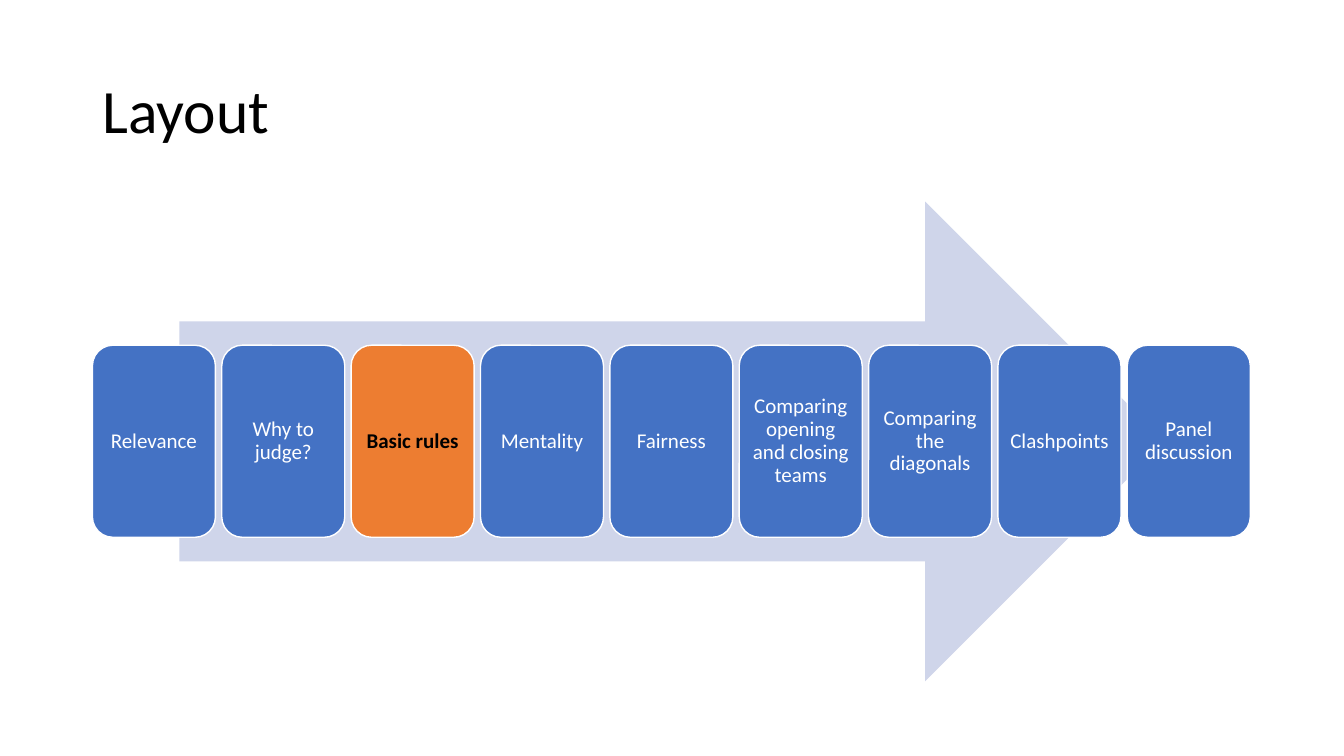
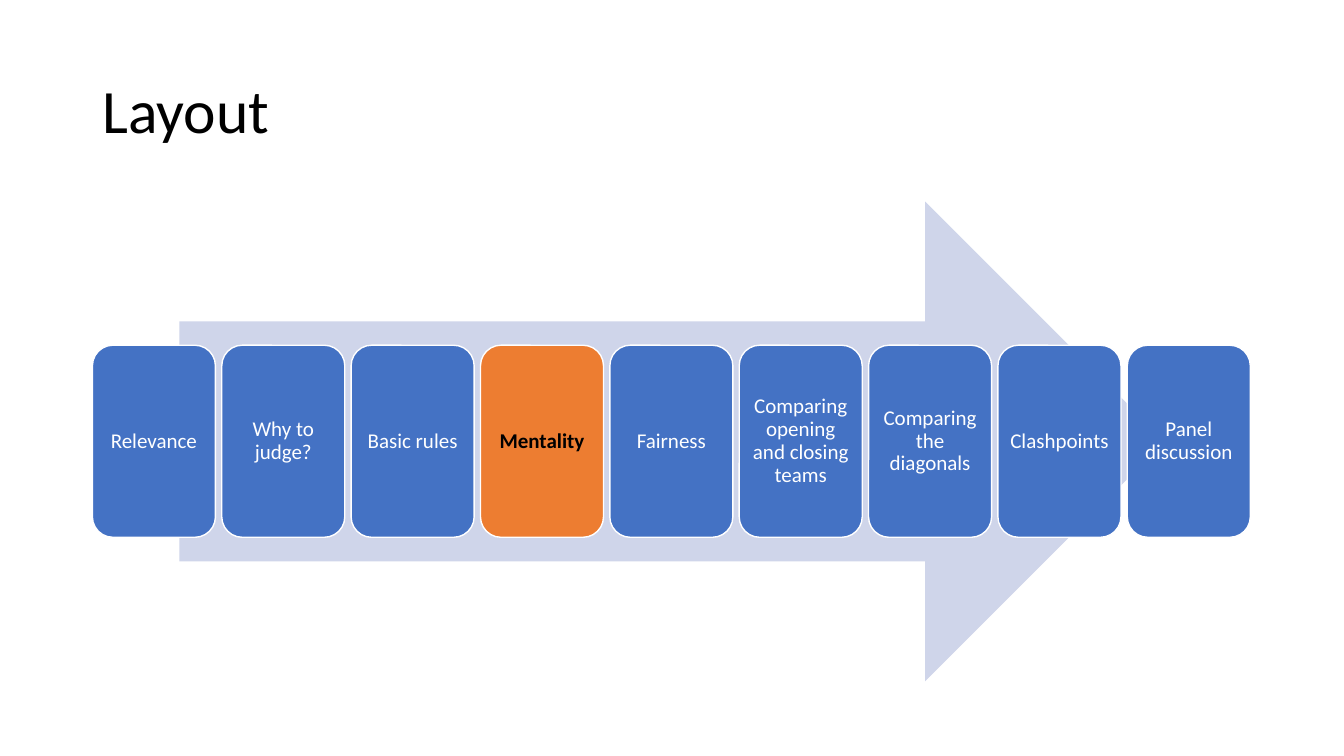
from pptx import Presentation
from pptx.dml.color import RGBColor
from pptx.enum.shapes import MSO_SHAPE
from pptx.enum.text import MSO_ANCHOR, PP_ALIGN
from pptx.util import Cm, Pt

ARROW = MSO_SHAPE.RIGHT_ARROW
CARD = MSO_SHAPE.ROUNDED_RECTANGLE
MIDDLE = MSO_ANCHOR.MIDDLE
LEFT = PP_ALIGN.LEFT
CENTER = PP_ALIGN.CENTER

BLACK = RGBColor(0x00, 0x00, 0x00)
WHITE = RGBColor(0xFF, 0xFF, 0xFF)
BLUE = RGBColor(0x44, 0x72, 0xC4)
ORANGE = RGBColor(0xED, 0x7D, 0x31)
PALE = RGBColor(0xCF, 0xD5, 0xEA)

STEPS = [
    "Relevance",
    "Why to judge?",
    "Basic rules",
    "Mentality",
    "Fairness",
    "Comparing opening and closing teams",
    "Comparing the diagonals",
    "Clashpoints",
    "Panel discussion",
]
ACTIVE = ["Basic rules", "Mentality"]


def assign(target, values):
    for name, value in values.items():
        setattr(target, name, value)


class Deck:
    face = "Calibri"
    left = 2.33
    pitch = 3.26
    inset = Cm(0.14)

    def __init__(self):
        self.show = Presentation()
        self.show.slide_width = Cm(33.87)
        self.show.slide_height = Cm(19.05)
        self.slide = None

    def page(self):
        self.slide = self.show.slides.add_slide(self.show.slide_layouts[6])

    def label(self, shape, text, size, color, align, bold=False):
        frame = shape.text_frame
        assign(frame, {"word_wrap": True, "vertical_anchor": MIDDLE})
        line = frame.paragraphs[0]
        line.text = text
        assign(line, {"alignment": align, "line_spacing": 0.9})
        font = line.runs[0].font
        assign(font, {"name": self.face, "size": Pt(size), "bold": bold})
        font.color.rgb = color

    def title(self, text):
        box = self.slide.shapes.add_textbox(
            Cm(self.left), Cm(1.01), Cm(29.21), Cm(3.68))
        self.label(box, text, 44, BLACK, LEFT)

    def shape(self, kind, left, top, width, height, fill):
        item = self.slide.shapes.add_shape(
            kind, Cm(left), Cm(top), Cm(width), Cm(height))
        item.shadow.inherit = False
        item.fill.solid()
        item.fill.fore_color.rgb = fill
        return item

    def arrow(self):
        item = self.shape(ARROW, 4.52, 5.08, 24.84, 12.09, PALE)
        item.line.fill.background()

    def card(self, index, text, active):
        left = self.left + index * self.pitch
        fill, color = (ORANGE, BLACK) if active else (BLUE, WHITE)
        item = self.shape(CARD, left, 8.7, 3.1, 4.84, fill)
        item.line.color.rgb = WHITE
        item.line.width = Pt(1)
        sides = ("left", "top", "right", "bottom")
        assign(item.text_frame, {f"margin_{side}": self.inset for side in sides})
        self.label(item, text, 15, color, CENTER, active)


def main():
    deck = Deck()
    for active in ACTIVE:
        deck.page()
        deck.title("Layout")
        deck.arrow()
        for index, step in enumerate(STEPS):
            deck.card(index, step, step == active)
    deck.show.save("out.pptx")


if __name__ == "__main__":
    main()
